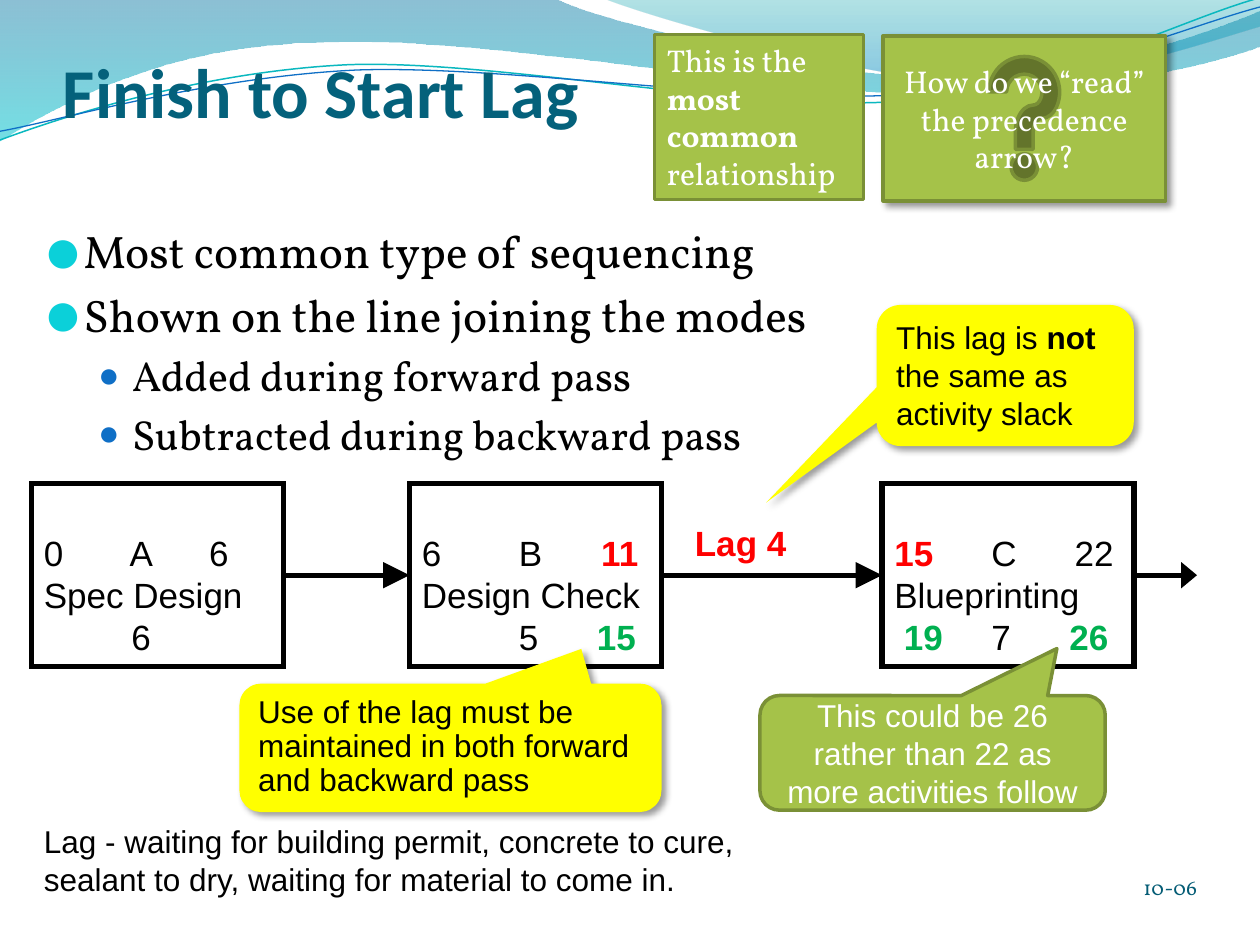
from dataclasses import dataclass

from lxml import etree
from pptx import Presentation
from pptx.dml.color import RGBColor
from pptx.enum.shapes import MSO_CONNECTOR, MSO_SHAPE
from pptx.enum.text import MSO_ANCHOR, PP_ALIGN
from pptx.oxml.ns import qn
from pptx.util import Pt

RECT = MSO_SHAPE.RECTANGLE
CALLOUT = MSO_SHAPE.ROUNDED_RECTANGULAR_CALLOUT
HELP = MSO_SHAPE.ACTION_BUTTON_HELP
STRAIGHT = MSO_CONNECTOR.STRAIGHT
TOP, MIDDLE, BOTTOM = MSO_ANCHOR.TOP, MSO_ANCHOR.MIDDLE, MSO_ANCHOR.BOTTOM
LEFT, CENTER, RIGHT = PP_ALIGN.LEFT, PP_ALIGN.CENTER, PP_ALIGN.RIGHT
BLACK, WHITE, RED, GREEN = "000000", "FFFFFF", "FF0000", "00B050"
YELLOW, OLIVE, OLIVE_EDGE = "FFFF00", "A5C249", "7A9036"
BODY, SANS = "Vollkorn", "Arial"


@dataclass
class Run:
    text: str
    color: str = BLACK
    bold: bool = False


@dataclass
class Label:
    at: tuple
    runs: list
    size: float = 18
    font: str = SANS
    align: PP_ALIGN = LEFT
    anchor: MSO_ANCHOR = TOP
    insets: tuple = (7.2, 3.6, 7.2, 3.6)
    line_spacing: float = 1.0


@dataclass
class Note:
    label: Label
    kind: MSO_SHAPE
    fill: str
    edge: str = ""
    shadow: bool = False
    tip: tuple = ()


@dataclass
class Activity:
    left: float
    rows: list


@dataclass
class Bullet:
    text: str
    size: float
    color: str
    scale: int
    margin: float
    hang: float


@dataclass
class Wave:
    start: tuple
    steps: list
    stops: tuple = ()
    line: tuple = ()


WAVES = [
    Wave((0, -0.7), [(316.8, -0.7), (342.7, 12.2, 478.1, 45.4, 545.8, 45.4),
                     (614.2, 45.4, 689.8, 18.7, 720, 6.5), (720.7, 25.9),
                     (707.8, 31.7, 626.4, 54.7, 537.1, 54), (447.8, 54, 275, 20.2, 185, 24.5),
                     (92.9, 25.2, 33.1, 59.8, -0.7, 81.4)],
         stops=((0, "0074A1", 45), (1, "00C6CF", 55))),
    Wave((344.9, -0.7), [(366.5, 7.9, 491, 44.6, 553.7, 46.8),
                         (616.3, 49.7, 691.9, 23, 720, 15.1), (720, 0)],
         stops=((0, "00A1A9", 30), (0.8, "008BBF", 45))),
    Wave((0, 79.9), [(34.6, 67, 113.8, 41, 199.4, 37.4), (284.4, 33.8, 427, 64.1, 513.4, 57.6),
                     (599.8, 51.1, 675.4, 10.8, 718.6, -1.4)], line=("0AB8BF", 0.85)),
    Wave((0, 74.9), [(33.8, 69.1, 118.1, 43.9, 203.8, 40.3), (290.2, 36.7, 429.8, 59.8, 516.2, 54),
                     (601.9, 48.2, 677.5, 15.1, 720, 4.3)], line=("0F6FC6", 0.75)),
]
BULLETS = [
    Bullet("Most common type of sequencing", 26, "0BD0D9", 145, 21.6, 21.6),
    Bullet("Shown on the line joining the modes", 26, "0BD0D9", 145, 21.6, 21.6),
    Bullet("Added during forward pass", 24, "0F6FC6", 85, 50.4, 19.4),
    Bullet("Subtracted during backward pass", 24, "0F6FC6", 85, 50.4, 19.4),
]
ACTIVITIES = [
    Activity(18, [[(0, Run("0")), (49, Run("A")), (94.5, Run("6"))],
                  [(0, Run("Spec Design"))],
                  [(50, Run("6"))]]),
    Activity(234, [[(0, Run("6")), (55.5, Run("B")), (102.5, Run("11", RED, True))],
                   [(0, Run("Design Check"))],
                   [(55.5, Run("5")), (100, Run("15", GREEN, True))]]),
    Activity(504, [[(0, Run("15", RED, True)), (55.5, Run("C")), (103, Run("22"))],
                   [(0, Run("Blueprinting"))],
                   [(5.5, Run("19", GREEN, True)), (55.5, Run("7")),
                    (100, Run("26", GREEN, True))]]),
]
LABELS = [
    Label((36, 24.3, 648, 90), [Run("Finish to Start Lag", "04617B", True)], 40, "Calibri",
          insets=(0, 3.6, 0, 0)),
    Label((390, 294.5, 90, 21.6), [Run("Lag 4", RED, True)], 20),
    Label((624.24, 485.3, 59.76, 28.8), [Run("10-06", "045C75")], 12, BODY, RIGHT, BOTTOM,
          (0, 0, 0, 0)),
    Label((18, 466.2, 416.16, 51.12),
          [Run("Lag - waiting for building permit, concrete to cure, "
               "sealant to dry, waiting for material to come in.")]),
]
NOTES = [
    Note(Label((501, 174.24, 146.88, 80.64),
               [Run("This lag is "), Run("not", bold=True), Run(" the same as activity slack")]),
         CALLOUT, YELLOW, shadow=True, tip=(-0.93, 0.9, 0.17)),
    Note(Label((504.72, 20.5, 161.28, 94.32),
               [Run("How do we “read” the precedence arrow?", WHITE)],
               18, BODY, CENTER, MIDDLE), HELP, OLIVE, OLIVE_EDGE, True),
    Note(Label((374, 19.8, 119.52, 94.32),
               [Run("This is the ", WHITE), Run("most common ", WHITE, True),
                Run("relationship", WHITE)], 18, BODY), RECT, OLIVE, OLIVE_EDGE),
    Note(Label((434.3, 397.44, 197.28, 65.52),
               [Run("This could be 26 rather than 22 as more activities follow", WHITE)],
               align=CENTER, anchor=MIDDLE), CALLOUT, OLIVE, OLIVE_EDGE, tip=(0.36, -0.91, 0.17)),
    Note(Label((136.8, 390.6, 241.2, 73.44),
               [Run("Use of the lag must be maintained in both forward and backward pass")],
               line_spacing=0.9), CALLOUT, YELLOW, shadow=True, tip=(0.31, -0.77, 0.17)),
]


def rgb(value: str) -> RGBColor:
    """Turn a hex string into a colour."""
    return RGBColor.from_string(value)


def add_xml(parent, tag: str, **attrs):
    """Append a drawing element with the given attributes."""
    return etree.SubElement(parent, qn(tag), {k: str(v) for k, v in attrs.items()})


def add_run(p, run: Run, size: float, font: str) -> None:
    """Append one formatted run to a paragraph."""
    r = p.add_run()
    r.text = run.text
    r.font.size, r.font.name, r.font.bold = Pt(size), font, run.bold
    r.font.color.rgb = rgb(run.color)


def set_frame(tf, anchor: MSO_ANCHOR, insets: tuple) -> None:
    """Set wrapping, anchor and insets of a text frame."""
    tf.word_wrap, tf.vertical_anchor = True, anchor
    tf.margin_left, tf.margin_top, tf.margin_right, tf.margin_bottom = map(Pt, insets)


def write_label(tf, label: Label) -> None:
    """Write the single paragraph of a label."""
    set_frame(tf, label.anchor, label.insets)
    p = tf.paragraphs[0]
    p.alignment, p.line_spacing = label.align, label.line_spacing
    for run in label.runs:
        add_run(p, run, label.size, label.font)


def draw_wave(s, wave: Wave) -> None:
    """Draw a gradient band or a thin line from straight and cubic steps."""
    points = [step[i:i + 2] for step in wave.steps for i in range(0, len(step), 2)]
    builder = s.shapes.build_freeform(*wave.start, scale=float(Pt(1)))
    builder.add_line_segments(points, close=bool(wave.stops))
    sp = builder.convert_to_shape()
    segments = iter(list(sp.element.spPr.iter(qn("a:lnTo"))))
    for step in wave.steps:
        first = next(segments)
        if len(step) == 6:
            curve = etree.Element(qn("a:cubicBezTo"))
            first.addprevious(curve)
            for segment in (first, next(segments), next(segments)):
                curve.append(segment[0])
                segment.getparent().remove(segment)
    sp.shadow.inherit = False
    if wave.line:
        sp.fill.background()
        sp.line.color.rgb, sp.line.width = rgb(wave.line[0]), Pt(wave.line[1])
        return
    sp.line.fill.background()
    sp.fill.gradient()
    sp.fill.gradient_angle = 270
    for stop, (position, color, _) in zip(sp.fill.gradient_stops, wave.stops):
        stop.position, stop.color.rgb = position, rgb(color)
    for clr, (_, _, alpha) in zip(sp.element.spPr.iter(qn("a:srgbClr")), wave.stops):
        add_xml(clr, "a:alpha", val=alpha * 1000)


def draw_bullets(s, bullets: list) -> None:
    """Draw the two-level bullet list."""
    tf = s.shapes.add_textbox(Pt(18), Pt(123.84), Pt(648), Pt(162)).text_frame
    set_frame(tf, TOP, (7.2, 3.6, 7.2, 3.6))
    for i, b in enumerate(bullets):
        p = tf.add_paragraph() if i else tf.paragraphs[0]
        p.space_before = Pt(b.size * 0.2 if i else 0)
        pPr = p._p.get_or_add_pPr()
        pPr.set("marL", str(Pt(b.margin)))
        pPr.set("indent", str(-Pt(b.hang)))
        add_xml(add_xml(pPr, "a:buClr"), "a:srgbClr", val=b.color)
        add_xml(pPr, "a:buSzPct", val=b.scale * 1000)
        add_xml(pPr, "a:buFont", typeface=SANS)
        add_xml(pPr, "a:buChar", char="●")
        add_run(p, Run(b.text), b.size, BODY)


def draw_activity(s, activity: Activity):
    """Draw one activity box with its tabbed rows."""
    sp = s.shapes.add_shape(RECT, Pt(activity.left), Pt(276.48), Pt(144), Pt(104.4))
    sp.shadow.inherit = False
    sp.fill.background()
    sp.line.color.rgb, sp.line.width = rgb(BLACK), Pt(3)
    add_xml(sp.element.spPr.find(qn("a:ln")), "a:miter", lim=800000)
    set_frame(sp.text_frame, TOP, (7.2, 27, 7.2, 3.6))
    for i, row in enumerate(activity.rows):
        p = sp.text_frame.add_paragraph() if i else sp.text_frame.paragraphs[0]
        p.alignment = LEFT
        stops = [x for x, _ in row if x]
        if stops:
            tabs = add_xml(p._p.get_or_add_pPr(), "a:tabLst")
            for x in stops:
                add_xml(tabs, "a:tab", pos=Pt(x), algn="l")
        for x, run in row:
            add_run(p, Run("\t" * bool(x) + run.text, run.color, run.bold), 20, SANS)
    return sp


def draw_arrow(s, source, target=None) -> None:
    """Draw an arrow from a box to the next box or to open space."""
    y, x = source.top + source.height // 2, source.left + source.width
    cxn = s.shapes.add_connector(STRAIGHT, x, y, x + Pt(36), y)
    cxn.begin_connect(source, 3)
    if target is not None:
        cxn.end_connect(target, 1)
    cxn.line.color.rgb, cxn.line.width = rgb(BLACK), Pt(3)
    add_xml(cxn._element.spPr.find(qn("a:ln")), "a:tailEnd", type="triangle", w="lg",
            len="med" if target is None else "lg")
    add_xml(cxn._element.spPr, "a:effectLst")


def draw_note(s, note: Note) -> None:
    """Draw a filled note or callout."""
    sp = s.shapes.add_shape(note.kind, *map(Pt, note.label.at))
    sp.shadow.inherit = False
    sp.fill.solid()
    sp.fill.fore_color.rgb = rgb(note.fill)
    if note.edge:
        sp.line.color.rgb, sp.line.width = rgb(note.edge), Pt(2)
    else:
        sp.line.fill.background()
    for i, value in enumerate(note.tip):
        sp.adjustments[i] = value
    if note.shadow:
        effects = sp.element.spPr.find(qn("a:effectLst"))
        shadow = add_xml(effects, "a:outerShdw", blurRad=Pt(4), dist=Pt(3), dir=45 * 60000)
        add_xml(add_xml(shadow, "a:srgbClr", val=BLACK), "a:alpha", val=40000)
    write_label(sp.text_frame, note.label)


def main() -> None:
    """Build and save the slide."""
    prs = Presentation()
    prs.slide_width, prs.slide_height = Pt(720), Pt(540)
    s = prs.slides.add_slide(prs.slide_layouts[6])
    for wave in WAVES:
        draw_wave(s, wave)
    draw_bullets(s, BULLETS)
    boxes = [draw_activity(s, activity) for activity in ACTIVITIES]
    for source, target in zip(boxes, boxes[1:] + [None]):
        draw_arrow(s, source, target)
    for label in LABELS:
        write_label(s.shapes.add_textbox(*map(Pt, label.at)).text_frame, label)
    for note in NOTES:
        draw_note(s, note)
    prs.save("out.pptx")


if __name__ == "__main__":
    main()
